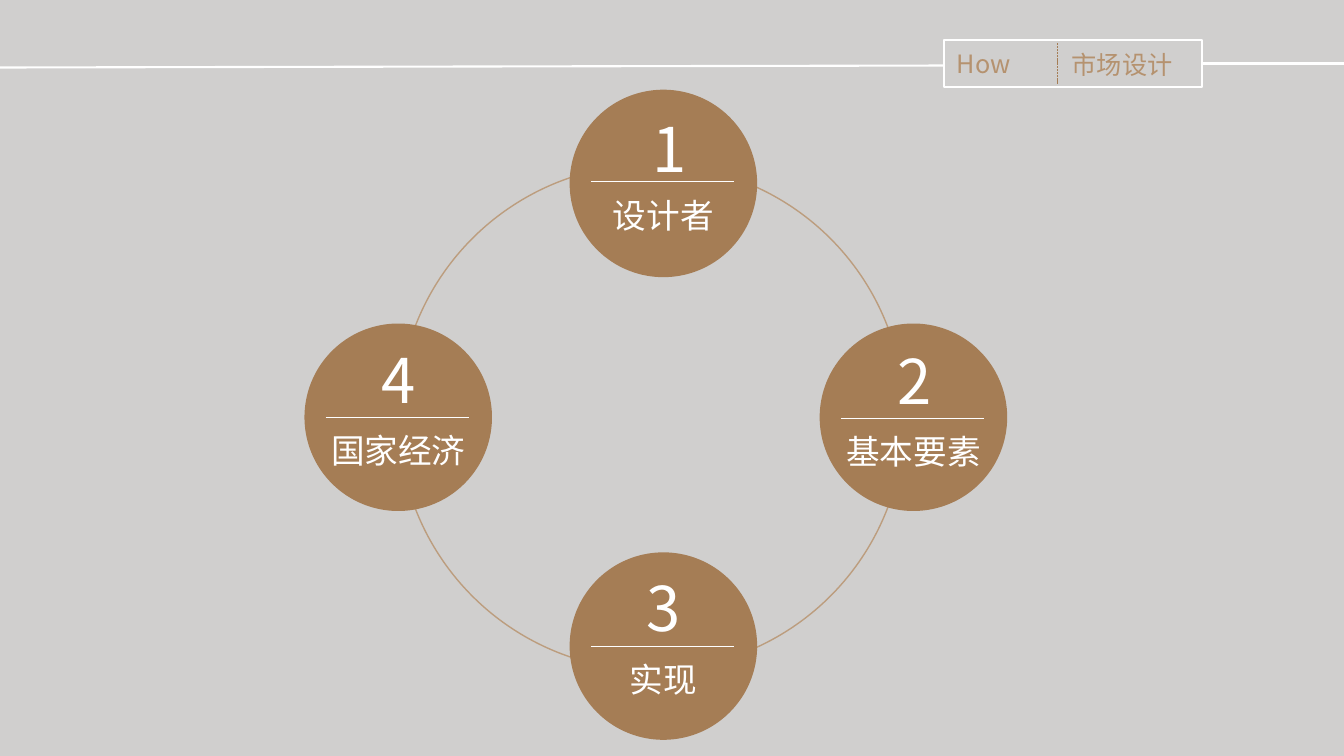
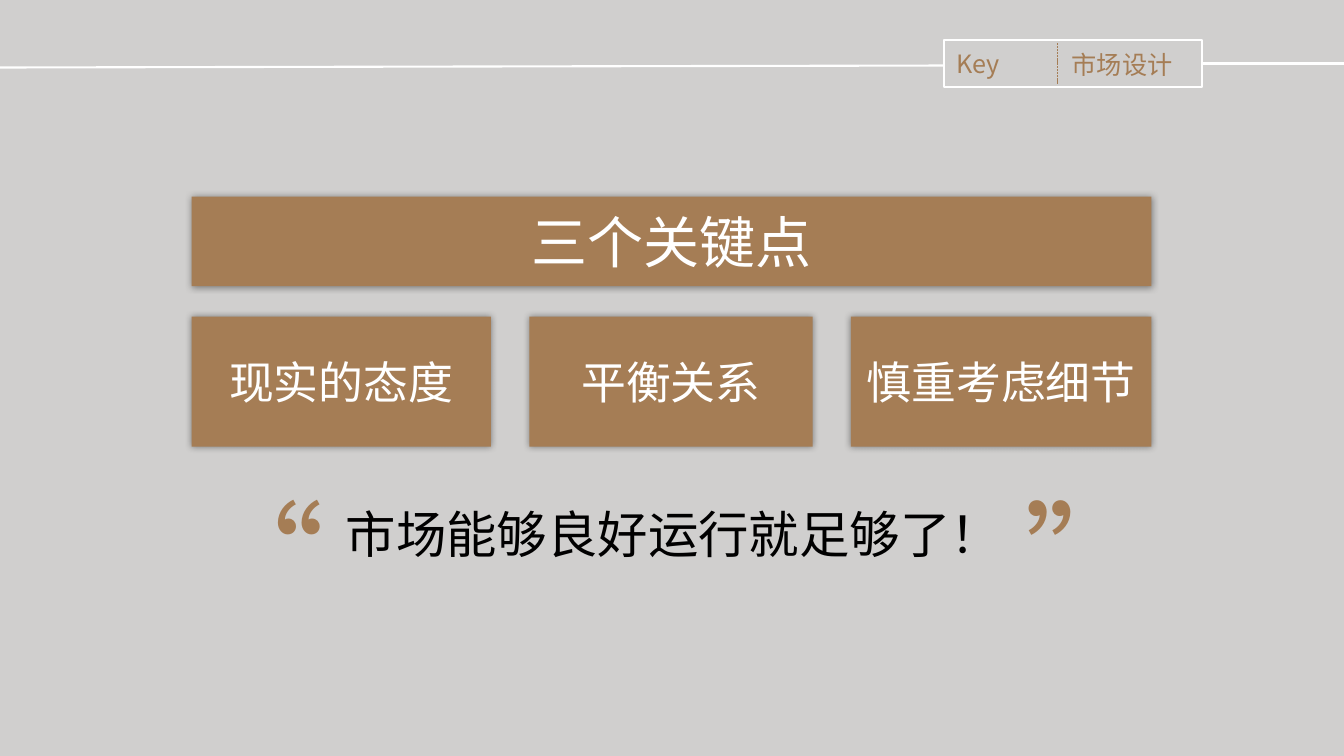
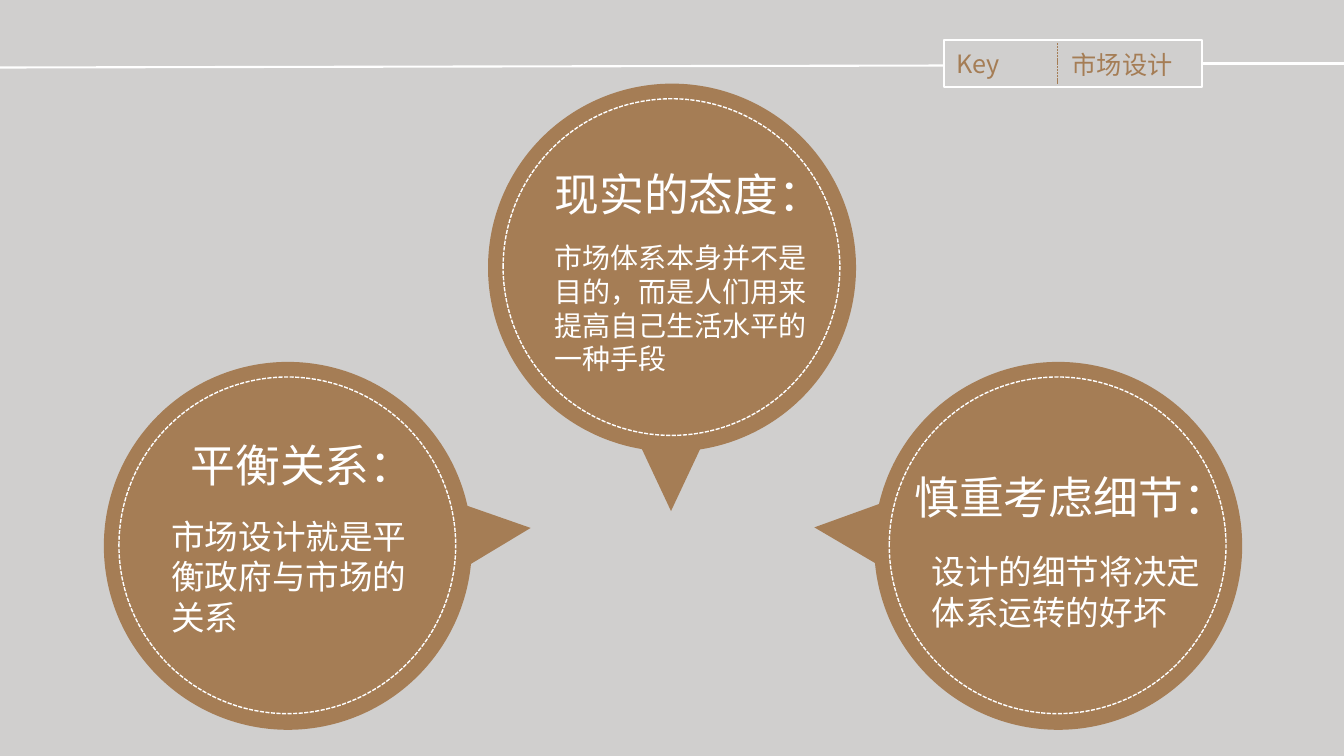
from lxml import etree
from pptx import Presentation
from pptx.dml.color import RGBColor as Rgb
from pptx.enum.dml import MSO_LINE as Dash
from pptx.enum.shapes import MSO_CONNECTOR as Conn, MSO_SHAPE as Kind
from pptx.enum.text import MSO_ANCHOR as Anchor, MSO_AUTO_SIZE as Fit, PP_ALIGN as Align
from pptx.oxml.ns import qn
from pptx.util import Pt

PX = 9144  # 100 px to the inch
GREY = Rgb(0xD0, 0xCF, 0xCE)
WHITE = Rgb(0xFF, 0xFF, 0xFF)
BLACK = Rgb(0, 0, 0)
BROWN = Rgb(0xA5, 0x7D, 0x55)
TAN = Rgb(0xB5, 0x92, 0x6F)
SAND = Rgb(0xBC, 0x9D, 0x7E)
SANS = "Noto Sans CJK SC"
DIGIT = "Noto Sans CJK JP"
DISC = Kind.FLOWCHART_CONNECTOR


def assign(item, values):
    for name, value in values.items():
        setattr(item, name, value)


class Deck:
    def __init__(self, width, height):
        self.prs = Presentation()
        assign(self.prs, {"slide_width": width * PX, "slide_height": height * PX})
        fill = self.prs.slide_master.background.fill
        fill.solid()
        fill.fore_color.rgb = GREY
        self.width = width
        self.page = None

    def label(self, shape, text, size, color, font=SANS, align=Align.LEFT,
              anchor=Anchor.TOP, wrap=True):
        frame = shape.text_frame
        assign(frame, {"auto_size": Fit.NONE, "word_wrap": wrap, "vertical_anchor": anchor})
        para = frame.paragraphs[0]
        para.alignment = align
        run = para.add_run()
        run.text = text
        assign(run.font, {"name": font, "size": Pt(size), "bold": False})
        run.font.color.rgb = color
        east = etree.SubElement(run.font._element, qn("a:ea"))
        east.set("typeface", font)

    def text(self, x, y, w, h, *words, **style):
        box = self.page.shapes.add_textbox(x * PX, y * PX, w * PX, h * PX)
        self.label(box, *words, **style)

    def stroke(self, line, color, weight, dash=None):
        line.color.rgb = color
        assign(line, {"width": Pt(weight), "dash_style": dash})

    def shape(self, kind, x, y, w, h, fill=None, edge=None, turn=0):
        item = self.page.shapes.add_shape(kind, x * PX, y * PX, w * PX, h * PX)
        item.shadow.inherit = False
        item.rotation = turn
        if fill is None:
            item.fill.background()
        else:
            item.fill.solid()
            item.fill.fore_color.rgb = fill
        if edge:
            self.stroke(item.line, *edge)
        else:
            item.line.fill.background()
        return item

    def line(self, x1, y1, x2, y2, *edge):
        item = self.page.shapes.add_connector(
            Conn.STRAIGHT, x1 * PX, y1 * PX, x2 * PX, y2 * PX)
        self.stroke(item.line, *edge)
        etree.SubElement(item._element.spPr, qn("a:effectLst"))
        return item

    def start(self, word, color=BROWN):
        """Add a slide with the header band, its keyword and its title."""
        self.page = self.prs.slides.add_slide(self.prs.slide_layouts[5])
        self.line(0, 67, 936, 65, WHITE, 1.5)
        frame = self.shape(Kind.RECTANGLE, 936, 40, 256, 46, GREY, (WHITE, 1.5))
        self.line(1192, 63, self.width, 63, WHITE, 1.5).begin_connect(frame, 3)
        self.text(939, 43, 110, 40, word, 18, color)
        self.line(1049, 43, 1049, 83, BROWN, 0.5, Dash.SQUARE_DOT)
        title = self.page.shapes.title
        assign(title, {"left": 1053 * PX, "top": 44 * PX,
                       "width": 138 * PX, "height": 40 * PX})
        self.label(title, "市场设计", 18, color)
        self.page.shapes._spTree.append(title._element)  # bring to front

    def node(self, x, y, digit, name, mid, rule, top):
        """Draw a disc with a digit above a rule and a name below it."""
        self.shape(DISC, x, y, 186, 186, BROWN)
        self.line(x + 21, rule, x + 163, rule, WHITE, 0.5)
        style = {"align": Align.CENTER, "wrap": False}
        self.text(mid - 26, top, 52, 84, digit, 44, WHITE, font=DIGIT, **style)
        self.text(x + 15, rule + 8, 156, 50, name, 24, WHITE, **style)

    def card(self, x, y, w, h, text, size):
        """Draw a filled box with a soft shadow and centred text."""
        box = self.shape(Kind.RECTANGLE, x, y, w, h, BROWN)
        glow = etree.SubElement(box._element.spPr.find(qn("a:effectLst")),
                                qn("a:outerShdw"), blurRad=str(int(Pt(5))), dist="0")
        tint = etree.SubElement(glow, qn("a:srgbClr"), val=str(BLACK))
        etree.SubElement(tint, qn("a:alpha"), val="40000")
        self.label(box, text, size, WHITE, align=Align.CENTER, anchor=Anchor.MIDDLE)

    def bubble(self, x, y, tail, head, body):
        """Draw a ringed disc with a pointer, a heading and a text."""
        left, top, turn = tail
        self.shape(Kind.ISOSCELES_TRIANGLE, left, top, 77, 82, BROWN, turn=turn)
        self.shape(DISC, x, y, 365, 365, BROWN)
        self.shape(DISC, x + 15, y + 15, 334, 334, BROWN, (WHITE, 1, Dash.SQUARE_DOT))
        self.text(*head, 32, WHITE, wrap=False)
        self.text(*body, WHITE)


def main():
    deck = Deck(1333, 750)

    deck.start("How", TAN)
    deck.shape(DISC, 395, 163, 502, 502, edge=(SAND, 1))
    for node in (
        (565, 89, "1", "设计者", 664, 180, 105),
        (813, 321, "2", "基本要素", 907, 415, 335),
        (565, 548, "3", "实现", 658, 641, 561),
        (302, 321, "4", "国家经济", 395, 414, 334),
    ):
        deck.node(*node)

    deck.start("Key")
    left, gap = 190, 38
    deck.card(left, 195, 952, 89, "三个关键点", 40)
    for point, wide in (("现实的态度", 297), ("平衡关系", 281), ("慎重考虑细节", 298)):
        deck.card(left, 314, wide, 129, point, 32)
        left += wide + gap
    for x, mark in ((190, "“"), (1006, "”")):
        deck.text(x, 473, 144, 158, mark, 88, BROWN, wrap=False)
    deck.text(333, 494, 677, 71, "市场能够良好运行就足够了！", 36, BLACK, wrap=False)

    deck.start("Key")
    deck.bubble(103, 359, (447, 487, 84.1),
                (179, 429, 245, 64, "平衡关系："),
                (160, 507, 265, 131, "市场设计就是平衡政府与市场的关系", 24))
    deck.bubble(484, 83, (627, 425, 180),
                (540, 160, 289, 64, "现实的态度："),
                (540, 234, 294, 145,
                 "市场体系本身并不是目的，而是人们用来提高自己生活水平的一种手段", 20))
    deck.bubble(867, 359, (810, 486, 275.3),
                (897, 461, 334, 64, "慎重考虑细节："),
                (914, 542, 301, 91, "设计的细节将决定体系运转的好坏", 24))

    deck.prs.save("out.pptx")


if __name__ == "__main__":
    main()
